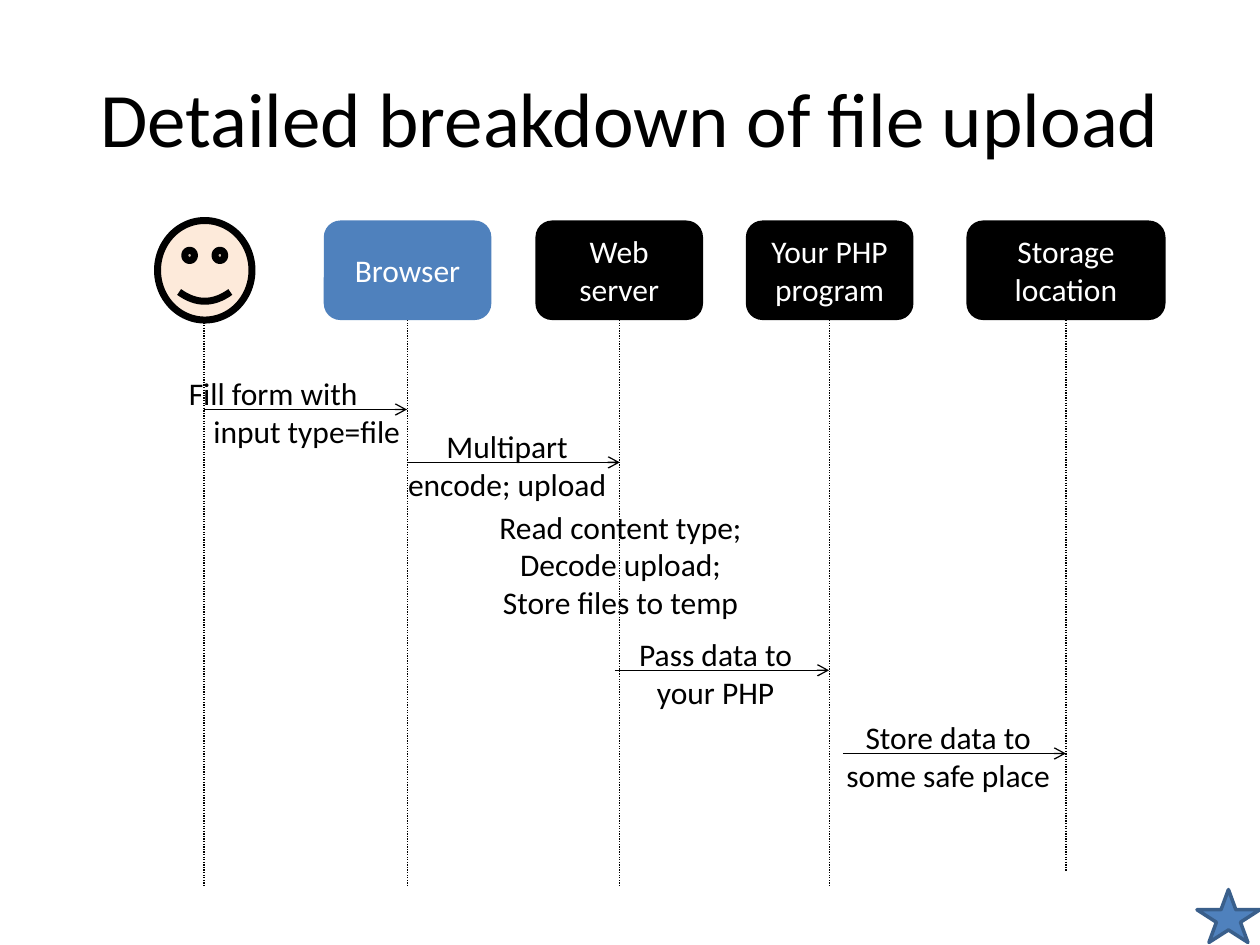
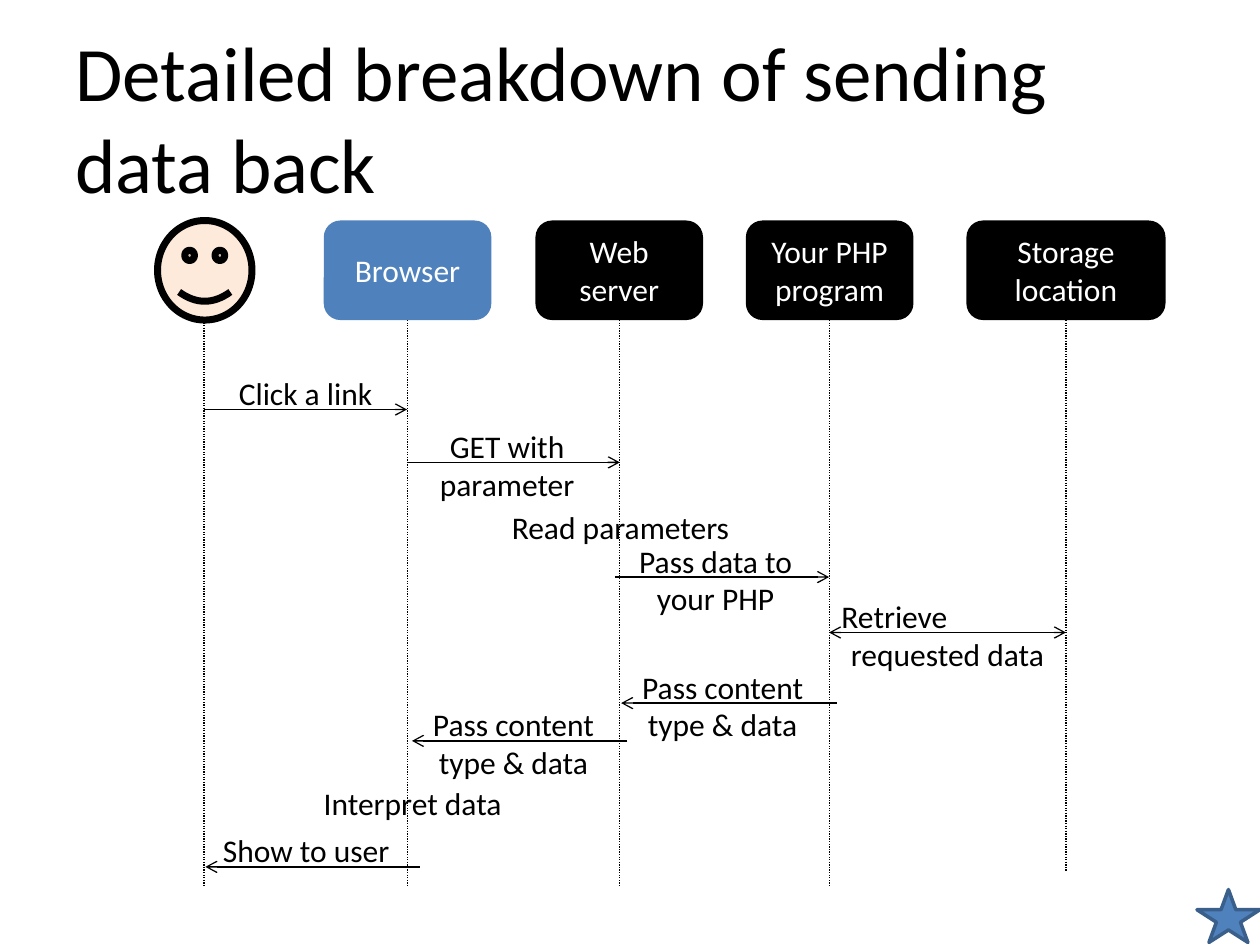
from lxml import etree
from pptx import Presentation
from pptx.dml.color import RGBColor
from pptx.enum import dml, shapes, text
from pptx.oxml import ns
from pptx.util import Inches, Pt

FONT = "Calibri"
BLACK, WHITE, BLUE = "000000", "FFFFFF", "4F81BD"
SKIN, STAR_EDGE = "FDEADA", "3A5F8B"
LEFT, CENTER = text.PP_ALIGN.LEFT, text.PP_ALIGN.CENTER

HEAD_TOP, HEAD_HEIGHT = 1.75, 0.79
HEAD_BOTTOM = HEAD_TOP + HEAD_HEIGHT
USER_X, BROWSER_X, SERVER_X, PROGRAM_X, STORAGE_X = 1.62, 3.23, 4.92, 6.58, 8.46
# name, left, width, colour, bottom of the lifeline
PARTICIPANTS = [
    ("Browser", 2.57, 1.33, BLUE, 7.04),
    ("Web server", 4.25, 1.33, BLACK, 7.04),
    ("Your PHP program", 5.92, 1.33, BLACK, 7.04),
    ("Storage location", 7.67, 1.58, BLACK, 6.92),
]


def rgb(colour):
    return RGBColor.from_string(colour)


def write(frame, content, size=18, colour=BLACK, align=CENTER,
          anchor=text.MSO_ANCHOR.TOP):
    """Fill a frame, one paragraph per line; align may be a list, one per line."""
    frame.word_wrap = True
    frame.vertical_anchor = anchor
    lines = content.split("\n")
    aligns = align if isinstance(align, list) else [align] * len(lines)
    for number, (line, line_align) in enumerate(zip(lines, aligns)):
        paragraph = frame.add_paragraph() if number else frame.paragraphs[0]
        paragraph.alignment = line_align
        run = paragraph.add_run()
        run.text = line
        run.font.name, run.font.size = FONT, Pt(size)
        run.font.color.rgb = rgb(colour)


def add_label(slide, content, left, top, width, height, **style):
    label = slide.shapes.add_textbox(*map(Inches, (left, top, width, height)))
    write(label.text_frame, content, **style)


def add_figure(slide, kind, left, top, width, height, fill, edge=None, weight=0):
    figure = slide.shapes.add_shape(kind, *map(Inches, (left, top, width, height)))
    figure.shadow.inherit = False
    figure.fill.solid()
    figure.fill.fore_color.rgb = rgb(fill)
    if edge:
        figure.line.color.rgb = rgb(edge)
        figure.line.width = Pt(weight)
    else:
        figure.line.fill.background()
    return figure


def add_line(slide, x1, y1, x2, y2, dash=None, arrows=()):
    """Draw a thin line; arrows names its pointed ends, headEnd before tailEnd."""
    line = slide.shapes.add_connector(
        shapes.MSO_CONNECTOR.STRAIGHT, *map(Inches, (x1, y1, x2, y2)))
    line.line.color.rgb = rgb(BLACK)
    line.line.width = Pt(0.75)
    if dash:
        line.line.dash_style = dash
    properties = line._element.spPr
    outline = properties.find(ns.qn("a:ln"))
    for end in arrows:
        etree.SubElement(outline, ns.qn(f"a:{end}"), type="arrow")
    etree.SubElement(properties, ns.qn("a:effectLst"))
    return line


def add_lifeline(slide, x, bottom):
    return add_line(slide, x, HEAD_BOTTOM, x, bottom,
                    dash=dml.MSO_LINE.ROUND_DOT)


def add_participants(slide):
    add_figure(slide, shapes.MSO_SHAPE.SMILEY_FACE, 1.25, HEAD_TOP, 0.75,
               HEAD_HEIGHT, SKIN, edge=BLACK, weight=4)
    add_lifeline(slide, USER_X, 7.04)
    for name, left, width, colour, bottom in PARTICIPANTS:
        head = add_figure(slide, shapes.MSO_SHAPE.ROUNDED_RECTANGLE, left,
                          HEAD_TOP, width, HEAD_HEIGHT, colour)
        write(head.text_frame, name, colour=WHITE, anchor=text.MSO_ANCHOR.MIDDLE)
        lifeline = add_lifeline(slide, left + width / 2, bottom)
        lifeline.begin_connect(head, 2)


def add_message(slide, content, y, start, end, both_ways=False,
                label_left=None, label_width=None, align=CENTER):
    """Draw an arrow from start to end with its label laid over it."""
    arrows = ("headEnd", "tailEnd") if both_ways else ("tailEnd",)
    add_line(slide, start, y, end, y, arrows=arrows)
    left = label_left or min(start, end) - 0.1
    width = label_width or max(start, end) - left
    add_label(slide, content, left, y - 0.33, width, 0.7, align=align)


def add_note(slide, content, top, x, height=0.4):
    add_label(slide, content, x - 1.08, top, 2.17, height)


def add_sequence_slide(deck, title, title_align):
    slide = deck.slides.add_slide(deck.slide_layouts[6])
    add_label(slide, title, 0.5, 0.3, 9, 1.25, size=44, align=title_align,
              anchor=text.MSO_ANCHOR.MIDDLE)
    add_participants(slide)
    add_figure(slide, shapes.MSO_SHAPE.STAR_5_POINT, 9.5, 7.06, 0.5, 0.42,
               BLUE, edge=STAR_EDGE, weight=2)
    return slide


def add_upload_slide(deck):
    slide = add_sequence_slide(deck, "Detailed breakdown of file upload", CENTER)
    add_message(slide, "Fill form with\ninput type=file", 3.25, USER_X, BROWSER_X,
                label_left=1.4, label_width=2.07, align=[LEFT, CENTER])
    add_message(slide, "Multipart encode; upload", 3.67, BROWSER_X, SERVER_X)
    add_note(slide, "Read content type;\nDecode upload;\nStore files to temp",
             3.98, SERVER_X, height=1)
    add_message(slide, "Pass data to your PHP", 5.32, 4.88, PROGRAM_X)
    add_message(slide, "Store data to some safe place", 5.98, 6.69, STORAGE_X)


def add_reply_slide(deck):
    slide = add_sequence_slide(deck, "Detailed breakdown of sending data back", LEFT)
    add_message(slide, "Click a link", 3.25, USER_X, BROWSER_X,
                label_left=1.65, label_width=1.55)
    add_message(slide, "GET with parameter", 3.67, BROWSER_X, SERVER_X)
    add_note(slide, "Read parameters", 3.98, SERVER_X)
    add_message(slide, "Pass data to your PHP", 4.58, 4.88, PROGRAM_X)
    add_message(slide, "Retrieve\nrequested data", 5.02, PROGRAM_X, STORAGE_X,
                both_ways=True, label_left=PROGRAM_X, align=[LEFT, CENTER])
    add_message(slide, "Pass content type & data", 5.58, 6.64, 4.93)
    add_message(slide, "Pass content type & data", 5.88, 4.98, 3.27)
    add_note(slide, "Interpret data", 6.17, 3.27)
    add_message(slide, "Show to user", 6.88, 3.33, 1.63)


def main():
    deck = Presentation()
    deck.slide_width, deck.slide_height = Inches(10), Inches(7.5)
    add_upload_slide(deck)
    add_reply_slide(deck)
    deck.save("out.pptx")


if __name__ == "__main__":
    main()
